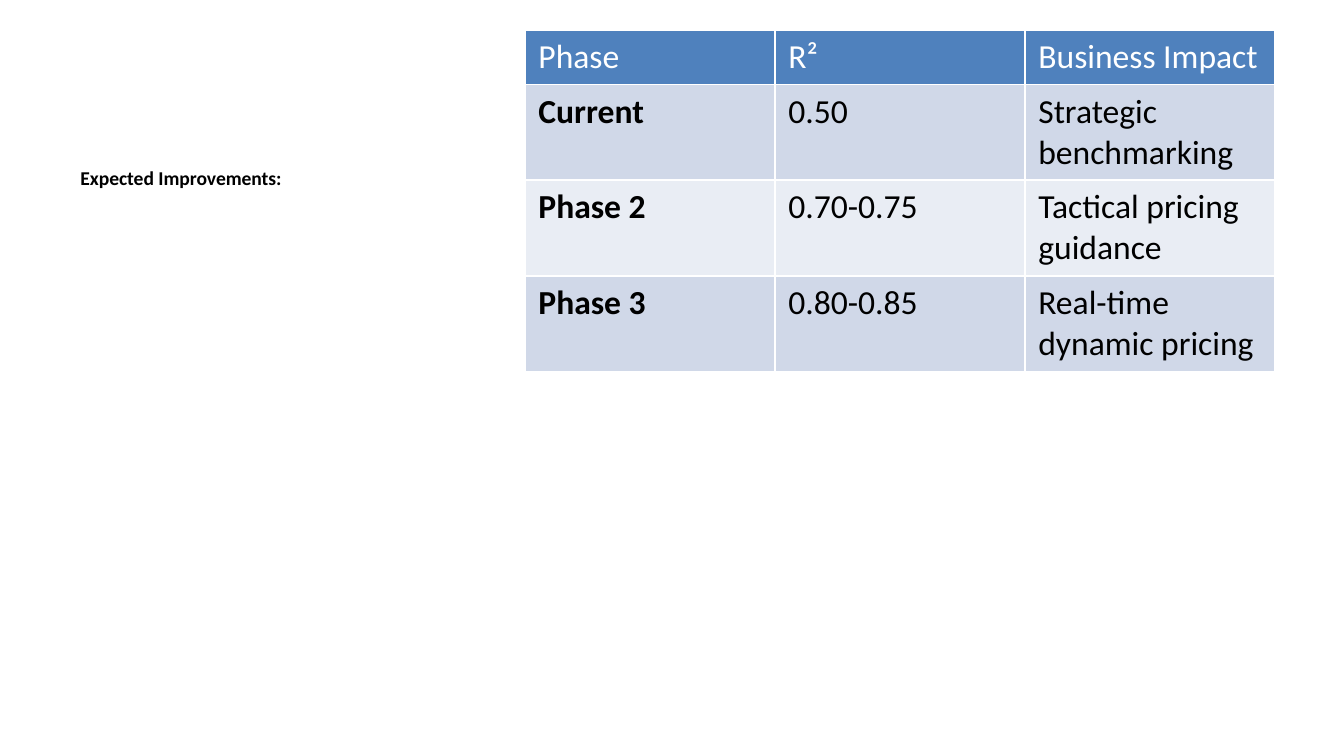
from pptx import Presentation
from pptx.dml.color import RGBColor
from pptx.enum.text import MSO_ANCHOR, MSO_AUTO_SIZE
from pptx.util import Emu, Pt

TOP = MSO_ANCHOR.TOP
NO_FIT = MSO_AUTO_SIZE.NONE

PX = 914400 / 134.4
FONT = "Calibri"
CAPTION_LAYOUT = 7
CAPTION_INDEX = 2
COLORS = {
    "text": "000000",
    "header_text": "FFFFFF",
    "header": "4F81BD",
    "odd_row": "D0D8E8",
    "even_row": "E9EDF4",
}

COLUMN_WIDTHS = [250, 250, 250]
ROW_HEIGHTS = [54, 95, 96, 95]
ROWS = [
    ["Phase", "R²", "Business Impact"],
    ["Current", "0.50", "Strategic benchmarking"],
    ["Phase 2", "0.70-0.75", "Tactical pricing guidance"],
    ["Phase 3", "0.80-0.85", "Real-time dynamic pricing"],
]


def px(length):
    return Emu(round(length * PX))


def color(name):
    return RGBColor.from_string(COLORS[name])


class SlideBuilder:
    """Holds the text style and the current slide."""

    def __init__(self, slide):
        self.slide = slide

    def style(self, para, size, color_name, bold=False):
        font = para.font
        font.name, font.size, font.bold = FONT, Pt(size), bold
        font.color.rgb = color(color_name)

    def caption(self, text, left, top, width, height):
        # Only the caption's placeholder is needed from the layout
        for holder in list(self.slide.placeholders):
            if holder.placeholder_format.idx != CAPTION_INDEX:
                holder.element.getparent().remove(holder.element)
        box = self.slide.placeholders[CAPTION_INDEX]
        box.left, box.top = px(left), px(top)
        box.width, box.height = px(width), px(height)
        frame = box.text_frame
        frame.text = text
        frame.word_wrap = True
        frame.auto_size = NO_FIT
        frame.vertical_anchor = TOP
        para = frame.paragraphs[0]
        para.space_before = Pt(30)
        self.style(para, 10.5, "text", bold=True)

    def table(self, rows, left, top, widths, heights):
        table = self.slide.shapes.add_table(
            len(rows), len(widths), px(left), px(top),
            px(sum(widths)), px(sum(heights))).table
        for column, width in zip(table.columns, widths):
            column.width = px(width)
        for r, (texts, height) in enumerate(zip(rows, heights)):
            table.rows[r].height = px(height)
            is_header = r == 0
            fill = "header" if is_header else "odd_row" if r % 2 else "even_row"
            text_color = "header_text" if is_header else "text"
            for c, text in enumerate(texts):
                cell = table.cell(r, c)
                cell.text = text
                cell.fill.solid()
                cell.fill.fore_color.rgb = color(fill)
                self.style(cell.text_frame.paragraphs[0], 18, text_color,
                           bold=c == 0 and not is_header)


def main():
    deck = Presentation()
    deck.slide_width, deck.slide_height = px(1344), px(756)
    page = SlideBuilder(deck.slides.add_slide(deck.slide_layouts[CAPTION_LAYOUT]))

    # Caption on the left, phases on the right
    page.caption("Expected Improvements:", 67, 159, 442, 517)
    page.table(ROWS, 525, 30, COLUMN_WIDTHS, ROW_HEIGHTS)

    deck.save("out.pptx")


if __name__ == "__main__":
    main()
